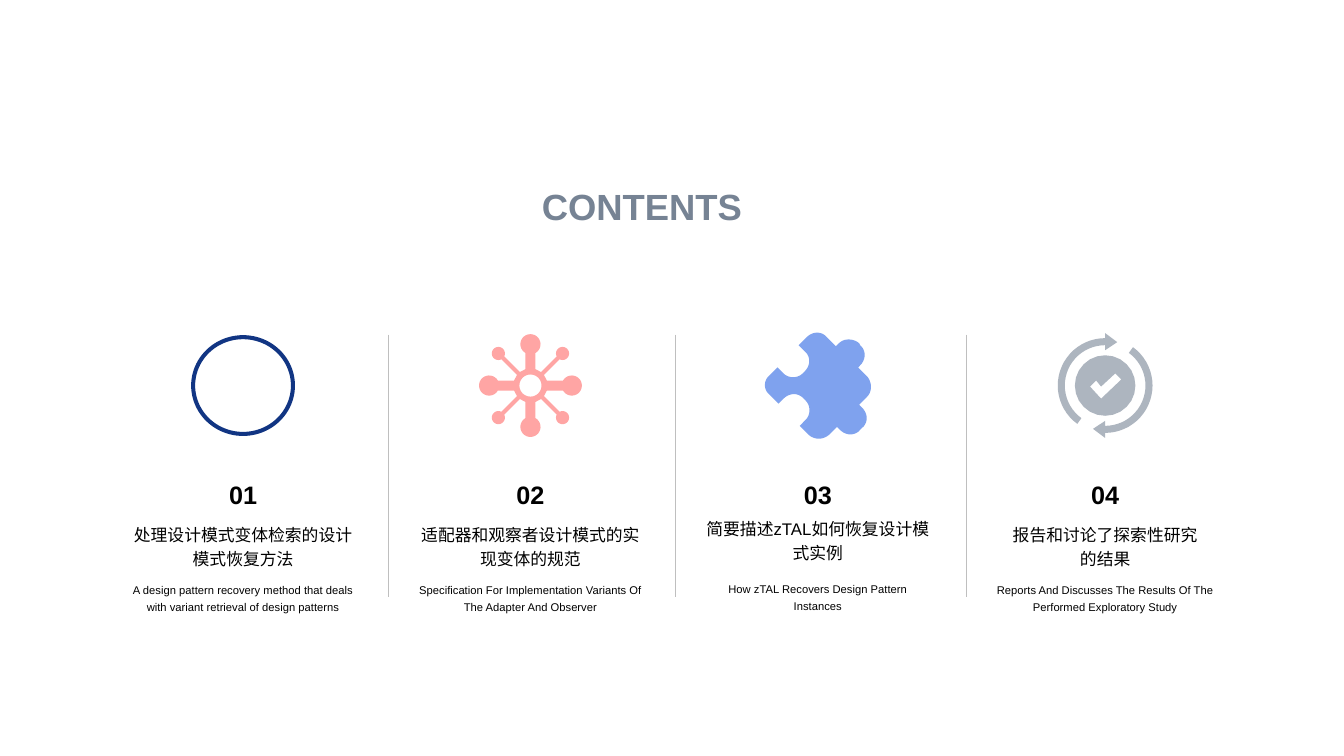
from math import asin, cos, degrees, radians, sin, sqrt

from lxml import etree
from pptx import Presentation
from pptx.dml.color import RGBColor
from pptx.enum.shapes import MSO_CONNECTOR, MSO_SHAPE
from pptx.enum.text import MSO_ANCHOR, PP_ALIGN
from pptx.oxml.ns import qn
from pptx.util import Inches, Pt

STRAIGHT = MSO_CONNECTOR.STRAIGHT
RING = MSO_SHAPE.DONUT
MIDDLE = MSO_ANCHOR.MIDDLE
CENTER = PP_ALIGN.CENTER
JUSTIFY = PP_ALIGN.JUSTIFY

# Grid in inches: four columns from the left margin, thin rows from the top
MARGIN, COLUMN, ROW = 1.2, 2.85, 0.1
TEXT_WIDTH = 0.85
ICON_ROW = 38.25


def color(hex_code):
    return RGBColor.from_string(hex_code)


# Icon outlines: lists of contours, in inches from the icon's centre
def arc(radius, start, end, center=(0, 0), steps=24):
    angles = [radians(start + (end - start) * i / steps) for i in range(steps + 1)]
    return [(center[0] + radius * cos(a), center[1] + radius * sin(a)) for a in angles]


def turn(points, angle):
    c, s = cos(radians(angle)), sin(radians(angle))
    return [(x * c - y * s, x * s + y * c) for x, y in points]


def hub_outline():
    hub = 0.17
    outline = []
    for arm in range(8):
        distance, knob, half = (0.45, 0.065, 0.02) if arm % 2 else (0.41, 0.1, 0.05)
        root = sqrt(hub ** 2 - half ** 2)
        opening = 180 - degrees(asin(half / knob))
        spoke = [(root, -half), *arc(knob, -opening, opening, (distance, 0)), (root, half)]
        outline += turn(spoke, 45 * arm)
    return [outline, arc(0.11, 0, 360)]


def puzzle_outline():
    # Hundredths of an inch; six numbers make a Bezier curve, two a corner
    steps = [
        (49, -9), (40, -18), (42, -20), (48, -26, 48, -35, 42, -40),
        (41, -42), (35, -47, 26, -47, 21, -42), (18, -39), (9, -48),
        (4, -54, -5, -54, -11, -48), (-19, -40), (-13, -34),
        (-7, -29, -7, -20, -13, -14), (-15, -12), (-20, -7, -29, -7, -34, -12),
        (-40, -18), (-48, -10), (-54, -5, -54, 4, -48, 9), (-39, 18), (-34, 13),
        (-28, 7, -19, 7, -14, 13), (-12, 15), (-7, 20, -7, 29, -12, 34),
        (-18, 40), (-9, 49), (-3, 54, 5, 54, 11, 49), (19, 41), (22, 44),
        (28, 50, 37, 50, 42, 44), (44, 42), (50, 37, 50, 28, 44, 22),
        (41, 19), (49, 11), (54, 6, 54, -3, 49, -9),
    ]
    outline = []
    for step in steps:
        if len(step) == 2:
            outline.append(step)
            continue
        x0, y0 = outline[-1]
        x1, y1, x2, y2, x3, y3 = step
        for t in [i / 10 for i in range(1, 11)]:
            a, b, c, d = (1 - t) ** 3, 3 * t * (1 - t) ** 2, 3 * t * t * (1 - t), t ** 3
            outline.append((a * x0 + b * x1 + c * x2 + d * x3,
                            a * y0 + b * y1 + c * y2 + d * y3))
    return [[(x / 100, y / 100) for x, y in outline]]


def cycle_outline():
    check = [(0.1, -0.12), (0.16, -0.06), (-0.04, 0.13), (-0.15, 0.01),
             (-0.09, -0.05), (-0.04, 0.01)]
    head = [(0, 0.52), (-0.12, 0.43), (0, 0.35)]
    arrow = arc(0.47, -54, 90) + head + arc(0.4, 90, -54)
    return [check, arc(0.3, 0, 360), arrow, turn(arrow, 180)]


class ContentsSlide:
    font = "Arial"
    ink = "000000"

    def __init__(self, deck):
        self.page = deck.slides.add_slide(deck.slide_layouts[6])
        self.shapes = self.page.shapes

    def x(self, column):
        return Inches(MARGIN + COLUMN * column)

    def y(self, row):
        return Inches(ROW * row)

    def start_group(self):
        self.shapes = self.page.shapes.add_group_shape().shapes

    def text(self, words, column, row, rows, size, width=TEXT_WIDTH, hex_code=ink,
             bold=False, align=CENTER, spacing=None, wrap=True):
        box = self.shapes.add_textbox(self.x(column), self.y(row),
                                      Inches(COLUMN * width), self.y(rows))
        frame = box.text_frame
        frame.word_wrap = wrap
        frame.vertical_anchor = MIDDLE
        frame.text = words
        for para in frame.paragraphs:
            para.alignment = align
            para.line_spacing = spacing
            for span in para.runs:
                span.font.name = self.font
                span.font.size = Pt(size)
                span.font.bold = bold
                span.font.color.rgb = color(hex_code)

    def divider(self, column, top, bottom):
        line = self.shapes.add_connector(STRAIGHT, self.x(column), self.y(top),
                                         self.x(column), self.y(bottom))
        line.line.color.rgb = color("BFBFBF")
        line.line.width = Pt(0.25)
        etree.SubElement(line._element.spPr, qn("a:effectLst"))

    def paint(self, shape, hex_code):
        shape.shadow.inherit = False
        shape.fill.solid()
        shape.fill.fore_color.rgb = color(hex_code)
        shape.line.fill.background()

    def ring(self, column, hex_code):
        width, height = Inches(1.03), Inches(1)
        left = self.x(column + TEXT_WIDTH / 2) - width // 2
        shape = self.shapes.add_shape(RING, left, self.y(ICON_ROW) - height // 2,
                                      width, height)
        shape.adjustments[0] = 0.04
        self.paint(shape, hex_code)

    def icon(self, contours, column, hex_code):
        center_x, center_y = self.x(column + TEXT_WIDTH / 2), self.y(ICON_ROW)
        placed = [[(center_x + Inches(x), center_y + Inches(y)) for x, y in contour]
                  for contour in contours]
        builder = self.shapes.build_freeform(*placed[0][0])
        builder.add_line_segments(placed[0][1:])
        for contour in placed[1:]:
            builder.move_to(*contour[0])
            builder.add_line_segments(contour[1:])
        self.paint(builder.convert_to_shape(), hex_code)


# Icon outline, icon colour, Chinese heading and its row, English caption and its row
TOPICS = [
    (None, "113583", "处理设计模式变体检索的设计模式恢复方法", 50.9,
     "A design pattern recovery method that deals with variant retrieval of design patterns", 56.1),
    (hub_outline(), "FFA5A4", "适配器和观察者设计模式的实现变体的规范", 50.9,
     "Specification For Implementation Variants Of The Adapter And Observer", 56.1),
    (puzzle_outline(), "7FA2EE", "简要描述zTAL如何恢复设计模式实例", 50.3,
     "How zTAL Recovers Design Pattern Instances", 56),
    (cycle_outline(), "ADB5BF", "报告和讨论了探索性研究\n的结果", 50.9,
     "Reports And Discusses The Results Of The Performed Exploratory Study", 56.1),
]


def main():
    deck = Presentation()
    deck.slide_width, deck.slide_height = Inches(13.33), Inches(7.5)
    slide = ContentsSlide(deck)

    # Title and column dividers
    slide.text("CONTENTS", 1.43, 15.4, 10.1, 26, width=0.97, hex_code="768394",
               bold=True, align=JUSTIFY)
    for column in (0.93, 1.93, 2.94):
        slide.divider(column, 33.2, 59.2)

    # One group per topic
    for column, (outline, tint, heading, heading_row, caption, caption_row) in enumerate(TOPICS):
        slide.start_group()
        if outline:
            slide.icon(outline, column, tint)
        else:
            slide.ring(column, tint)
        slide.text(f"{column + 1:02d}", column, 46.9, 4.4, 18, bold=True, wrap=False)
        slide.text(caption, column, caption_row, 6.3, 8, spacing=1.2)
        slide.text(heading, column, heading_row, 6.3, 12, spacing=1.2)

    deck.save("out.pptx")


if __name__ == "__main__":
    main()
